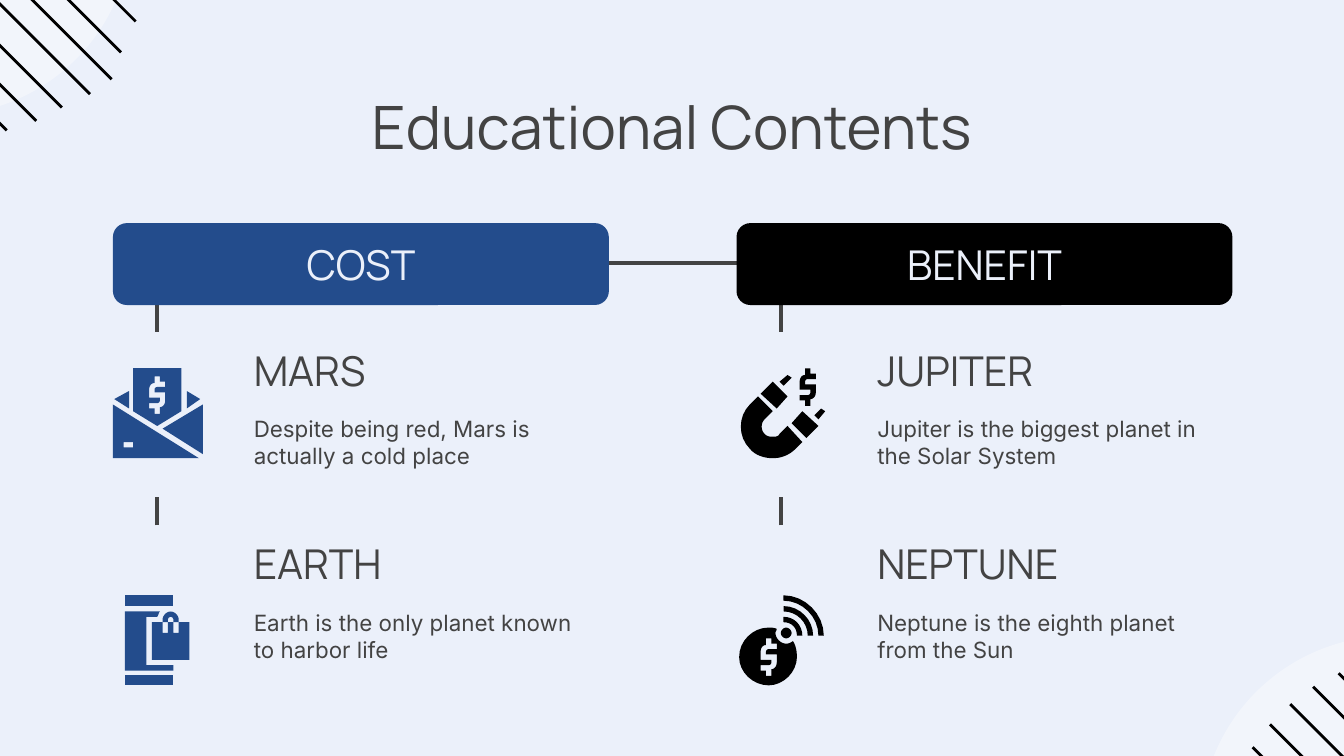
from lxml import etree
from pptx import Presentation, util as u
from pptx.dml.color import RGBColor
from pptx.enum import shapes, text
from pptx.oxml.ns import qn

PALE = RGBColor(0xEB, 0xF0, 0xFA)
WHITE = RGBColor(0xFF, 0xFF, 0xFF)
BLACK = RGBColor(0, 0, 0)
BLUE = RGBColor(0x23, 0x4C, 0x8C)
GREY = RGBColor(0x43, 0x43, 0x43)

HEAD, BODY = "Manrope", "Inter"
CELL = u.Inches(0.1)  # the slide is 100 columns wide
STEPX, STEPY = 46.4, 14.4  # from side to side, from item to item

# Icon outlines: tenths of a cell from the icon's top left corner.
DOLLAR = ("M 4 0 L 4 5 C 1 5 0 8 0 10 L 0 16 L 8 16 L 8 18 C 8 19 7 20 6 20 L 0 20 "
          "L 0 24 L 4 24 L 4 28 L 8 28 L 8 23 C 10 23 12 21 12 18 L 12 12 L 4 12 "
          "L 4 10 C 4 9 5 8 6 8 L 12 8 L 12 4 L 8 4 L 8 0")

# Each part: its outline, then the left and top of any dollar sign in it.
LETTER = [
    ("M 67 27 L 37 45 L 67 64", None),
    ("M 55 17 L 55 30 L 65 23", None),
    ("M 12 17 L 1 23 L 12 30", None),
    ("M 15 55 L 15 59 L 8 59 L 8 55 M 0 27 L 0 67 L 64 67", None),
    ("M 15 0 L 15 32 L 33 43 L 51 32 L 51 0", (27, 6)),
]
PHONE = [
    ("M 20 20 L 20 48 L 48 48 L 48 20 L 40 20 L 40 28 L 36 28 L 36 20 "
     "L 32 20 L 32 28 L 28 28 L 28 20", None),
    ("M 34 12 C 31 12 28 15 28 18 L 28 20 L 32 20 L 32 18 C 32 17 33 16 34 16 "
     "C 35 16 36 17 36 18 L 36 20 L 40 20 L 40 18 C 40 15 37 12 34 12", None),
    ("M 0 59 L 0 67 L 36 67 L 36 59", None),
    ("M 0 12 L 0 56 L 36 56 L 36 52 L 16 52 L 16 16 L 24 16 C 25 15 25 13 26 12", None),
    ("M 0 0 L 0 8 L 36 8 L 36 0", None),
]
MAGNET = [
    ("", (46, 0)),
    ("M 48 32 L 40 41 L 51 52 L 60 43", None),
    ("M 26 10 L 17 19 L 29 30 L 37 21", None),
    ("M 15 21 L 9 27 C 0 36 0 51 9 60 C 13 65 20 67 26 67 C 32 67 38 65 43 60 "
     "L 48 55 L 37 43 L 31 49 C 30 51 28 51 26 51 C 24 51 22 51 20 49 "
     "C 17 46 17 41 20 38 L 26 32", None),
    ("M 37 5 L 31 10 L 34 13 L 40 7", None),
    ("M 62 30 L 57 35 L 60 38 L 65 32", None),
]
COIN = [
    ("M 33 0 L 33 4 C 47 4 59 16 59 30 L 63 30 C 63 14 49 0 33 0", None),
    ("M 33 8 L 33 12 C 43 12 51 20 51 30 L 55 30 C 55 18 45 8 33 8", None),
    ("M 33 16 L 33 20 C 39 20 43 24 43 30 L 47 30 C 47 22 41 16 33 16", None),
    ("M 35 24 C 33 24 31 26 31 28 C 31 30 33 32 35 32 C 37 32 39 30 39 28 "
     "C 39 26 37 24 35 24", None),
    ("M 22 24 C 10 24 0 34 0 46 C 0 57 10 67 22 67 C 33 67 43 57 43 46 "
     "C 43 41 42 37 40 34 C 39 35 37 36 35 36 C 31 36 27 32 27 28 "
     "C 27 27 28 26 28 25 C 26 24 24 24 22 24", (16, 32)),
]

SIDES = [
    ("COST", BLUE, [
        ("MARS", "Despite being red, Mars is actually a cold place", LETTER, 8.4, 27.4),
        ("EARTH", "Earth is the only planet known to harbor life", PHONE, 9.3, 44.3)]),
    ("BENEFIT", BLACK, [
        ("JUPITER", "Jupiter is the biggest planet in the Solar System", MAGNET, 54.9, 27.4),
        ("NEPTUNE", "Neptune is the eighth planet from the Sun", COIN, 55, 44.3)]),
]

# Stripes: column, row and signed run along the diagonal.
LOWER = [(93.2, 55.6, 19.5), (94.5, 53.9, 20.2), (96, 52.4, 19.2),
         (97.7, 51.1, 19.5), (99.6, 50.1, 18.6)]
UPPER = [(0.5, 9.7, -17), (2.7, 9, -18.5), (4.6, 8, -19.5), (6.7, 7, -20.3),
         (8.3, 5.9, -20.5), (9, 3.9, -19.6), (10.1, 1.6, -18.6)]


def cells(*nums):
    return [round(n * CELL) for n in nums]


def trace(line, left=0, top=0):
    """Turn an outline into lists of points, with curves cut into short steps."""
    loops = []
    for part in line.replace("M", "|M").replace("L", "|L").replace("C", "|C").split("|")[1:]:
        kind, *nums = part.split()
        flat = [float(n) for n in nums]
        pts = [(x + left, y + top) for x, y in zip(flat[::2], flat[1::2])]
        if kind == "M":
            loops.append(pts)
        elif kind == "L":
            loops[-1] += pts
        else:
            ends = [loops[-1][-1]] + pts
            for t in (n / 8 for n in range(1, 9)):
                s = 1 - t
                mix = (s ** 3, 3 * s * s * t, 3 * s * t * t, t ** 3)
                loops[-1].append(tuple(sum(m * p[a] for m, p in zip(mix, ends))
                                       for a in (0, 1)))
    return loops


class Deck:
    def __init__(self):
        self.show = Presentation()
        self.show.slide_width, self.show.slide_height = u.Inches(10), u.Inches(5.625)
        self.page = self.show.slides.add_slide(self.show.slide_layouts[5])
        fill = self.page.background.fill
        fill.solid()
        fill.fore_color.rgb = PALE
        self.pen = self.page.shapes

    def paint(self, shape, color):
        shape.shadow.inherit = False
        shape.fill.solid()
        shape.fill.fore_color.rgb = color
        shape.line.fill.background()
        return shape

    def letter(self, shape, words, size, font=HEAD, color=GREY,
               align=text.PP_ALIGN.LEFT, anchor=text.MSO_ANCHOR.TOP):
        """Set the words of a shape in the deck's style."""
        frame = shape.text_frame
        frame.text = words
        look = {"word_wrap": True, "auto_size": text.MSO_AUTO_SIZE.NONE,
                "vertical_anchor": anchor}
        look.update({f"margin_{side}": CELL for side in ("left", "right", "top", "bottom")})
        for key, val in look.items():
            setattr(frame, key, val)
        para = frame.paragraphs[0]
        para.alignment = align
        for key, val in {"size": u.Pt(size), "name": font, "bold": False}.items():
            setattr(para.runs[0].font, key, val)
        para.runs[0].font.color.rgb = color

    def title(self, words, *box):
        head = self.pen.title
        head.left, head.top, head.width, head.height = cells(*box)
        self.letter(head, words, 32, align=text.PP_ALIGN.CENTER)

    def label(self, words, size, font, *box):
        self.letter(self.pen.add_textbox(*cells(*box)), words, size, font)

    def pill(self, words, color, *box):
        bar = self.pen.add_shape(shapes.MSO_SHAPE.ROUNDED_RECTANGLE, *cells(*box))
        bar.adjustments[0] = 0.17
        self.letter(self.paint(bar, color), words, 22, color=PALE,
                    align=text.PP_ALIGN.CENTER, anchor=text.MSO_ANCHOR.MIDDLE)

    def line(self, *ends, color=GREY, width=2.25):
        link = self.pen.add_connector(shapes.MSO_CONNECTOR.STRAIGHT, *cells(*ends))
        link.line.color.rgb = color
        link.line.width = u.Pt(width)
        etree.SubElement(link._element.spPr, qn("a:effectLst"))

    def corner(self, left, top, stripes):
        """A see-through disc crossed by diagonal stripes."""
        disc = self.pen.add_shape(shapes.MSO_SHAPE.OVAL, *cells(left, top, 28.6, 28.4))
        self.paint(disc, WHITE)
        tint = disc._element.spPr.find(qn("a:solidFill"))[0]
        etree.SubElement(tint, qn("a:alpha"), val="36000")
        for x, y, run in stripes:
            self.line(x, y, x + run, y + run, color=BLACK, width=1.5)

    def icon(self, parts, color, left, top):
        for line, sign in parts:
            loops = trace(line) + (trace(DOLLAR, *sign) if sign else [])
            loops = [[cells(left + x / 10, top + y / 10) for x, y in loop] for loop in loops]
            form = self.pen.build_freeform(*loops[0][0])
            form.add_line_segments(loops[0][1:], close=True)
            for loop in loops[1:]:
                form.move_to(*loop[0])
                form.add_line_segments(loop[1:], close=True)
            self.paint(form.convert_to_shape(), color)


def main():
    deck = Deck()
    deck.corner(89.3, 47.3, LOWER)
    deck.corner(-18.8, -19.8, UPPER)
    deck.title("Educational Contents", 7.8, 5.7, 84.4, 7.7)
    deck.line(45.2, 19.6, 54.8, 19.6)
    for col, (name, color, items) in enumerate(SIDES):
        x = col * STEPX
        for row, (head, note, parts, left, top) in enumerate(items):
            y = row * STEPY
            deck.label(head, 22, HEAD, 17.9 + x, 24.7 + y, 27.3, 6.1)
            deck.label(note, 12, BODY, 17.9 + x, 29.9 + y, 27.3, 6.1)
            deck.line(11.7 + x, 24.7 + y, 11.7 + x, 22.6 + y)
            deck.icon(parts, color, left, top)
        deck.pill(name, color, 8.4 + x, 16.6, 36.9, 6.1)
    deck.show.save("out.pptx")


if __name__ == "__main__":
    main()
